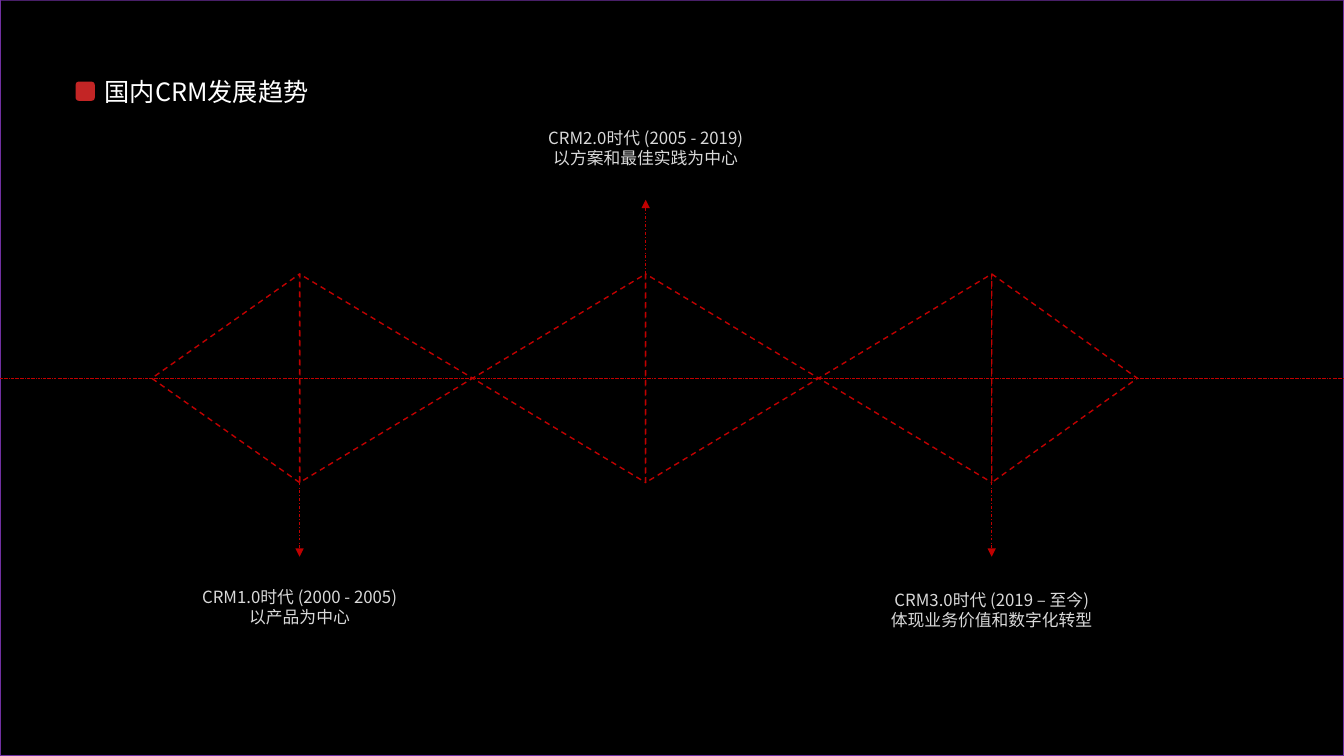
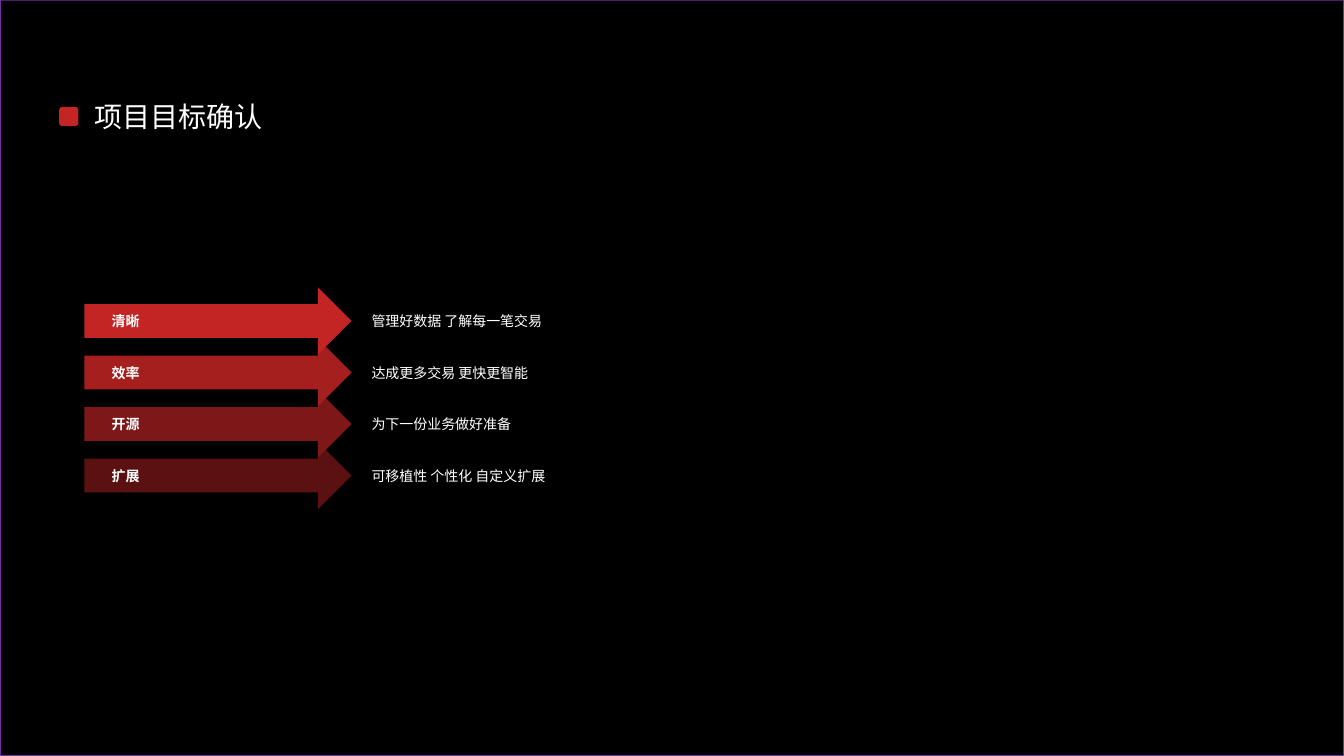
from lxml import etree
from pptx import Presentation
from pptx.dml.color import RGBColor
from pptx.enum.dml import MSO_LINE
from pptx.enum.shapes import MSO_CONNECTOR, MSO_SHAPE
from pptx.enum.text import MSO_ANCHOR, PP_ALIGN
from pptx.oxml.ns import qn
from pptx.util import Pt

WIDTH, HEIGHT = 960, 540
FONT = "Noto Sans CJK SC"
COLORS = {
    "background": "000000",
    "frame": "7030A0",
    "accent": "C32525",
    "line": "C00000",
    "title": "FFFFFF",
    "label": "D9D9D9",
    "arrow1": "C32525",
    "arrow2": "A51F1F",
    "arrow3": "7E1818",
    "arrow4": "5B1111",
}


def rgb(name):
    """Return the named palette colour."""
    return RGBColor.from_string(COLORS[name])


def add_shape(slide, kind, box, fill):
    """Add a flat filled shape without outline or shadow."""
    shape = slide.shapes.add_shape(kind, *map(Pt, box))
    shape.shadow.inherit = False
    shape.fill.solid()
    shape.fill.fore_color.rgb = rgb(fill)
    shape.line.fill.background()
    return shape


def style_line(line, width, dash):
    """Apply the red dashed stroke."""
    line.color.rgb = rgb("line")
    line.width = Pt(width)
    line.dash_style = dash


def add_line(slide, start, end, width, dash, arrow=False):
    """Add a dashed line, with an arrowhead at its end if asked."""
    line = slide.shapes.add_connector(MSO_CONNECTOR.STRAIGHT, *map(Pt, start + end))
    style_line(line.line, width, dash)
    properties = line._element.spPr
    if arrow:
        etree.SubElement(properties.find(qn("a:ln")), qn("a:tailEnd"), type="triangle")
    etree.SubElement(properties, qn("a:effectLst"))


def add_text(slide, box, lines, size, color="title", bold=False, align=PP_ALIGN.LEFT):
    """Add a text box with one paragraph per line."""
    frame = slide.shapes.add_textbox(*map(Pt, box)).text_frame
    frame.word_wrap = True
    frame.vertical_anchor = MSO_ANCHOR.MIDDLE
    for index, line in enumerate(lines):
        paragraph = frame.add_paragraph() if index else frame.paragraphs[0]
        paragraph.alignment = align
        paragraph.line_spacing = Pt(size * 1.2)
        run = paragraph.add_run()
        run.text = line
        run.font.size = Pt(size)
        run.font.bold = bold
        run.font.name = FONT
        run.font.color.rgb = rgb(color)
        etree.SubElement(run._r.get_or_add_rPr(), qn("a:ea"), typeface=FONT)


def add_base(prs):
    """Add a black slide with the thin frame around its edge."""
    slide = prs.slides.add_slide(prs.slide_layouts[6])
    slide.background.fill.solid()
    slide.background.fill.fore_color.rgb = rgb("background")
    frame = add_shape(slide, MSO_SHAPE.FRAME, (0, 0, WIDTH, HEIGHT), "frame")
    frame.adjustments[0] = 0.001
    return slide


def add_title(slide, box, text, size, marker):
    """Add the title and its square marker, placed relative to the title box."""
    left, top = box[:2]
    dx, dy = marker
    add_shape(slide, MSO_SHAPE.ROUNDED_RECTANGLE, (left + dx, top + dy, 13.7, 13.7), "accent")
    add_text(slide, box, [text], size)


def add_turned(slide, kind, box, rotation):
    """Add a dashed shape that fills the box after a quarter turn."""
    left, top, width, height = box
    shift = (width - height) / 2
    shape = add_shape(slide, kind, (left + shift, top - shift, height, width), "background")
    shape.rotation = rotation
    style_line(shape.line, 1, MSO_LINE.DASH)


def add_diamond_chain(slide, box, nodes):
    """Draw three linked diamonds whose upright axes stand at the nodes."""
    left, top, width, height = box
    for start, end in zip(nodes, nodes[1:]):
        add_turned(slide, MSO_SHAPE.FLOWCHART_COLLATE, (start, top, end - start, height), 90)
    first, last = nodes[0], nodes[-1]
    add_turned(slide, MSO_SHAPE.ISOSCELES_TRIANGLE, (left, top, first - left, height), 270)
    add_turned(slide, MSO_SHAPE.ISOSCELES_TRIANGLE, (last, top, left + width - last, height), 90)


def add_era(slide, node, edge, direction, label_top, lines):
    """Point from a diamond tip to the label of its era."""
    add_line(slide, (node, edge), (node, edge + direction * 53), 0.5, MSO_LINE.DASH_DOT, True)
    add_text(slide, (node - 130, label_top, 260, 36), lines, 12, "label", align=PP_ALIGN.CENTER)


def build_trend(prs):
    """Build the slide on the three eras of CRM."""
    slide = add_base(prs)
    add_title(slide, (67.7, 51, 237, 29), "国内CRM发展趋势", 18, (-13.7, 7.3))
    left, top, width, height = chain = (108.4, 195.7, 704, 149)
    nodes = [214 + 247.2 * index for index in range(3)]
    add_diamond_chain(slide, chain, nodes)
    add_line(slide, (0, HEIGHT / 2), (WIDTH, HEIGHT / 2), 0.25, MSO_LINE.LONG_DASH_DOT)
    eras = [
        (1, 415.4, ["CRM1.0时代 (2000 - 2005)", "以产品为中心"]),
        (-1, 87.8, ["CRM2.0时代 (2005 - 2019)", "以方案和最佳实践为中心"]),
        (1, 417.6, ["CRM3.0时代 (2019 – 至今)", "体现业务价值和数字化转型"]),
    ]
    for node, (direction, label_top, lines) in zip(nodes, eras):
        edge = top + height if direction > 0 else top
        add_era(slide, node, edge, direction, label_top, lines)


def add_goal_arrows(slide, box, pitch, goals):
    """Stack the arrows, first on top, with a label in and a note beside each."""
    left, top, width, height = box
    rows = [(top + index * pitch, *goal) for index, goal in enumerate(goals)]
    for row_top, color, label, note in reversed(rows):
        add_shape(slide, MSO_SHAPE.RIGHT_ARROW, (left, row_top, width, height), color)
    for row_top, color, label, note in rows:
        text_top = row_top + (height - 19.4) / 2
        add_text(slide, (left + 12.4, text_top, 54, 19.4), [label], 10, bold=True)
        add_text(slide, (left + width + 7.2, text_top, 181, 19.4), [note], 10)


def build_goals(prs):
    """Build the slide that confirms the project goals."""
    slide = add_base(prs)
    add_title(slide, (60.3, 67, 405, 31.5), "项目目标确认", 20, (-18, 9.3))
    goals = [
        ("arrow1", "清晰", "管理好数据 了解每一笔交易"),
        ("arrow2", "效率", "达成更多交易 更快更智能"),
        ("arrow3", "开源", "为下一份业务做好准备"),
        ("arrow4", "扩展", "可移植性 个性化 自定义扩展"),
    ]
    add_goal_arrows(slide, (60.3, 205.2, 190.8, 48.2), 36.8, goals)


def main():
    """Build and save the deck."""
    prs = Presentation()
    prs.slide_width, prs.slide_height = Pt(WIDTH), Pt(HEIGHT)
    build_trend(prs)
    build_goals(prs)
    prs.save("out.pptx")


main()
